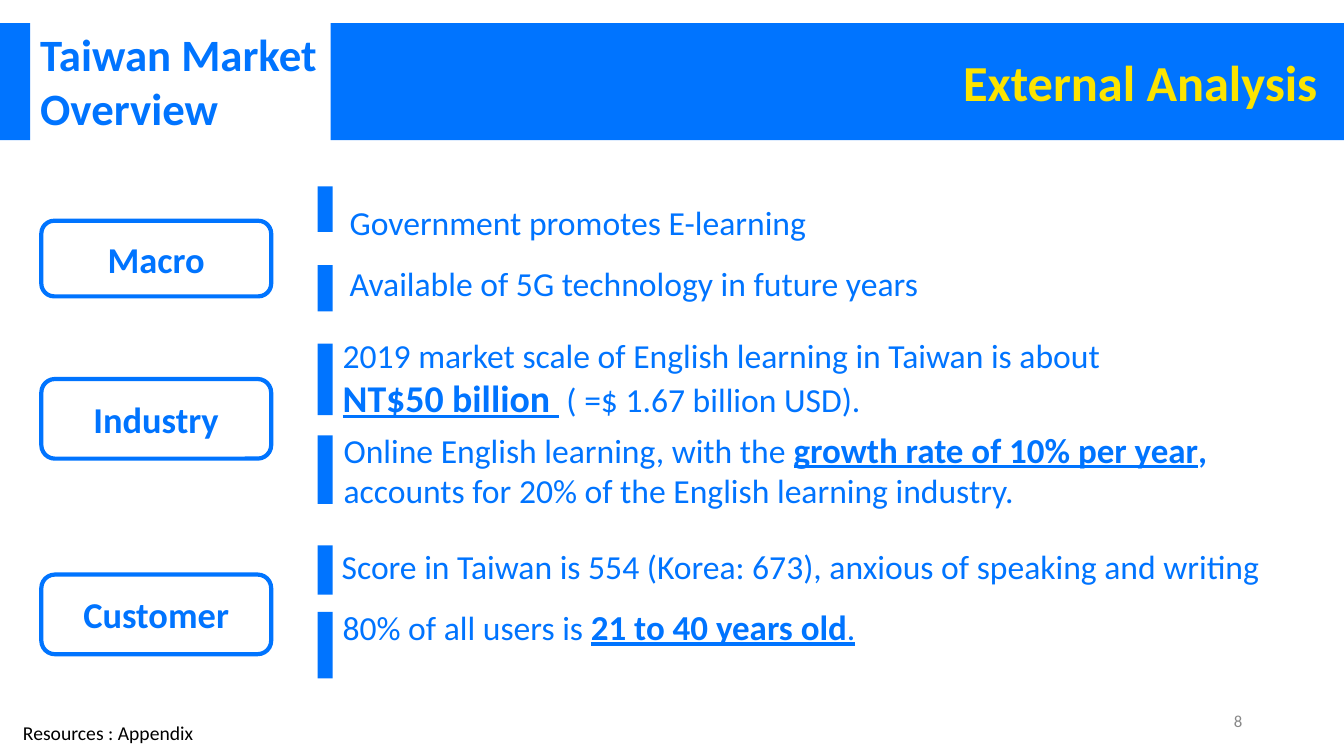
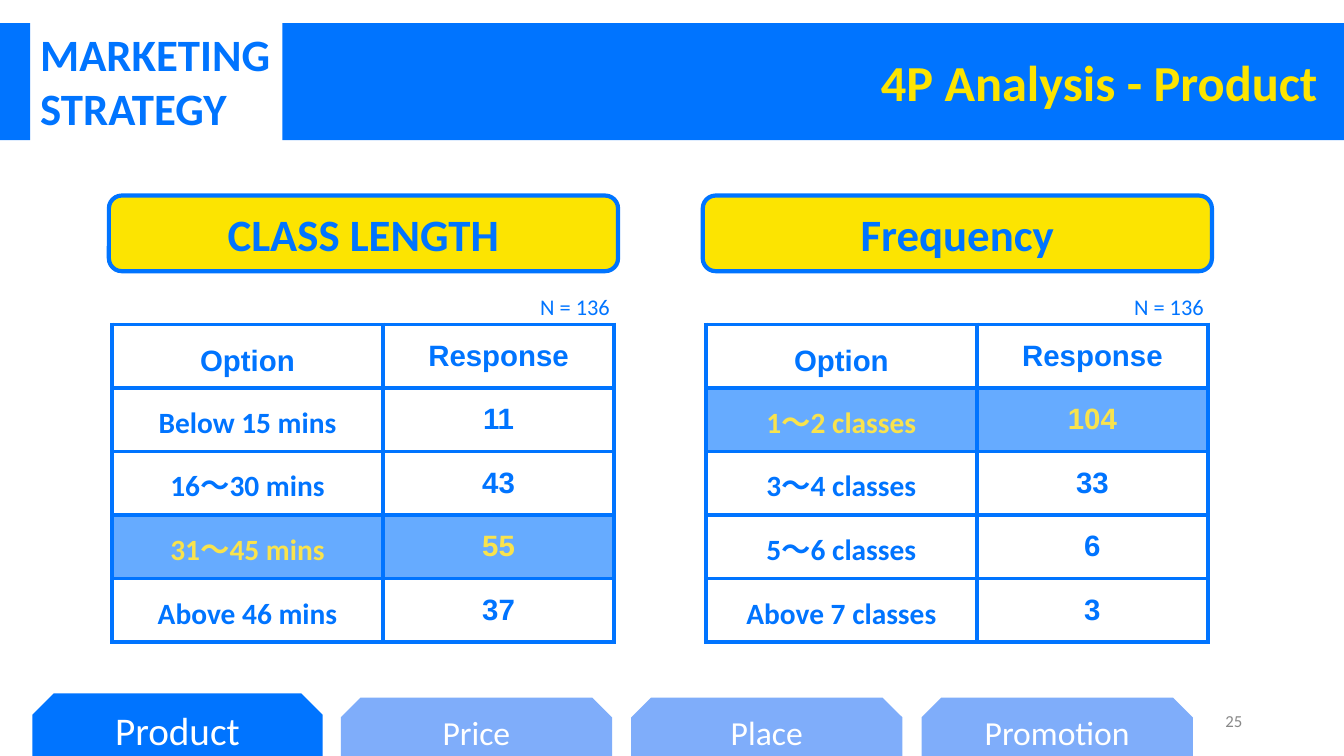
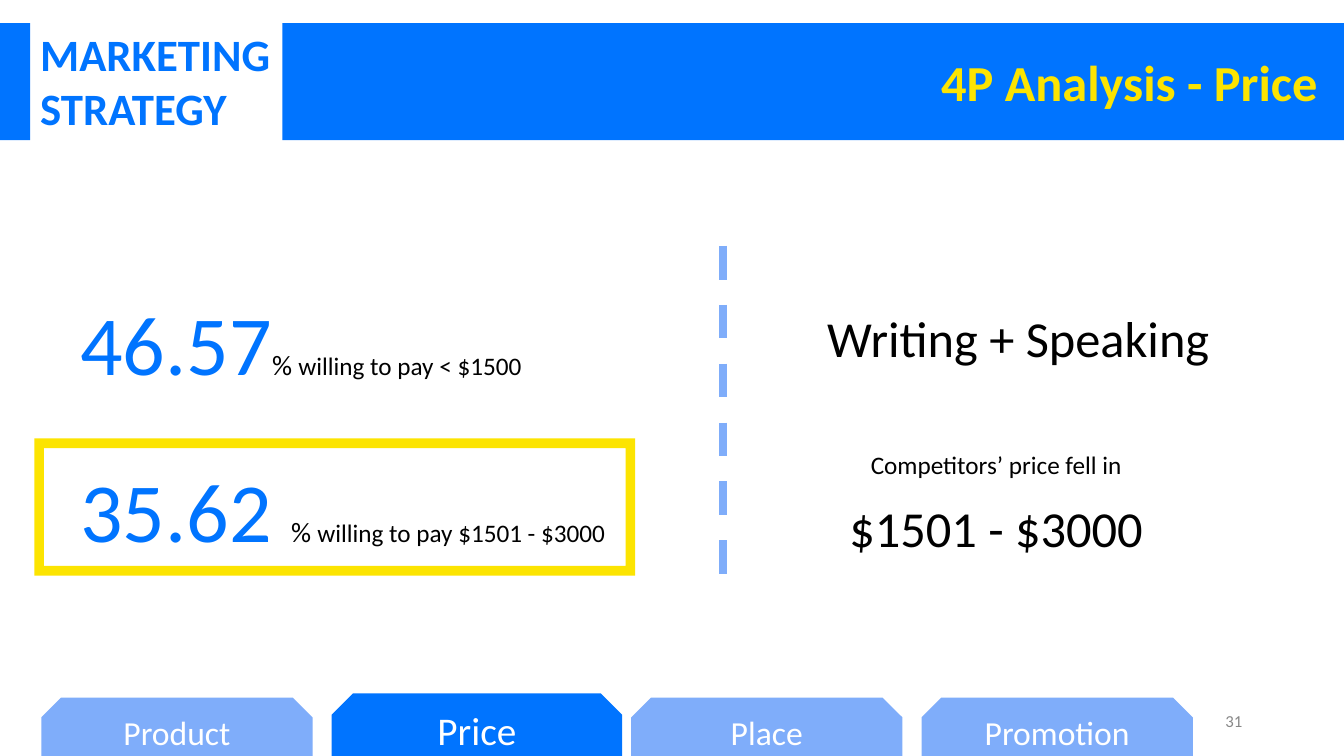
"""Builds three slides on a language-learning market: external analysis, product and price."""
from dataclasses import dataclass

from lxml import etree
from pptx import Presentation
from pptx.dml.color import RGBColor
from pptx.enum.dml import MSO_LINE
from pptx.enum.shapes import MSO_CONNECTOR, MSO_SHAPE
from pptx.enum.text import MSO_ANCHOR, MSO_AUTO_SIZE, PP_ALIGN
from pptx.oxml.ns import qn
from pptx.util import Inches, Pt


@dataclass(frozen=True)
class Theme:
    """Colours, fonts and type sizes shared by the slides."""
    blue: str = "0074FF"
    pale: str = "7FADFA"
    yellow: str = "FCE401"
    soft_yellow: str = "F9E34D"
    white: str = "FFFFFF"
    black: str = "000000"
    grey: str = "888888"
    font: str = "Calibri"
    number_font: str = "Arial"
    title: int = 36
    heading: int = 32
    tab_active: int = 28
    label: int = 26
    body: int = 24
    cell: int = 21
    caption: int = 18
    sample: int = 16
    source: int = 14
    page: int = 12
    figure: int = 60
    outline: int = 3


T = Theme()
WIDTH, HEIGHT = 13.33, 7.5
BAND_TOP, BAND_HEIGHT, BAND_EDGE = 0.23, 1.16, 0.3
STRONG = dict(size=25, bold=True, underline=True)

TOPICS = [("Macro", 2.19, 0.75), ("Industry", 3.76, 0.79), ("Customer", 5.7, 0.79)]
FINDINGS = [
    (1.85, 0.45, 3.37, 1.95, ["Government promotes E-learning"]),
    (2.63, 0.46, 3.37, 2.56, ["Available of 5G technology in future years"]),
    (3.41, 0.71, 3.3, 3.27, [
        "2019 market scale of English learning in Taiwan is about",
        [("NT$50 billion ", dict(STRONG, size=27)), (" ( =$ 1.67 billion USD).", {})]]),
    (4.32, 0.68, 3.31, 4.2, [[
        ("Online English learning, with the ", {}),
        ("growth rate of 10% per year", STRONG),
        (",", dict(size=25, bold=True)),
        (" accounts for 20% of the English learning industry.", {})]]),
    (5.41, 0.49, 3.29, 5.37,
     ["Score in Taiwan is 554 (Korea: 673), anxious of speaking and writing"]),
    (6.07, 0.66, 3.3, 5.96, [[
        ("80% of all users is ", {}), ("21 to 40 years old", STRONG),
        (".", dict(underline=True))]]),
]
SURVEYS = [
    ("CLASS LENGTH", 3, [("Option", "Response"), ("Below 15 mins", "11"),
                         ("16～30 mins", "43"), ("31～45 mins", "55"),
                         ("Above 46 mins", "37")]),
    ("Frequency", 1, [("Option", "Response"), ("1～2 classes", "104"),
                      ("3～4 classes", "33"), ("5～6 classes", "6"),
                      ("Above 7 classes", "3")]),
]
SURVEY_LEFT, SURVEY_PITCH = 1.08, 5.89
COLUMNS, ROW = (2.69, 2.29), 0.63
TABS = [("Product", 0.41), ("Price", 3.38), ("Place", 6.26), ("Promotion", 9.14)]
SHARES = [("46.57", "willing to pay < $1500", 2.69),
          ("35.62 ", "willing to pay $1501 - $3000", 4.35)]


def rgb(color):
    """Turn a hex string into a colour."""
    return RGBColor.from_string(color)


def style(font, size=None, color=None, bold=None, underline=None, face=None):
    """Set the given properties of a font."""
    if size:
        font.size = Pt(size)
    if color:
        font.color.rgb = rgb(color)
    if bold is not None:
        font.bold = bold
    if underline is not None:
        font.underline = underline
    if face:
        font.name = face


def write(frame, paragraphs, size, color=T.blue, bold=False, align=PP_ALIGN.LEFT,
          face=T.font, spacing=None, gap=0):
    """Fill a text frame with paragraphs given as strings or lists of runs."""
    for index, content in enumerate(paragraphs):
        paragraph = frame.add_paragraph() if index else frame.paragraphs[0]
        runs = [(content, {})] if isinstance(content, str) else content
        paragraph.alignment = align
        if spacing:
            paragraph.line_spacing = spacing
        if index and gap:
            paragraph.space_before = Pt(gap)
        style(paragraph.font, size, color, bold, face=face)
        for text, changes in runs:
            run = paragraph.add_run()
            run.text = text
            style(paragraph.font if len(runs) == 1 else run.font, **changes)


def set_frame(frame, anchor, pad=0.05):
    """Wrap a text frame and set its anchor and margins."""
    frame.word_wrap = True
    frame.auto_size = MSO_AUTO_SIZE.NONE
    frame.vertical_anchor = anchor
    frame.margin_left = frame.margin_right = Inches(0.1)
    frame.margin_top = frame.margin_bottom = Inches(pad)


def add_text(slide, box, paragraphs, size, anchor=MSO_ANCHOR.TOP, pad=0.05, **look):
    """Add a wrapped text box."""
    frame = slide.shapes.add_textbox(*map(Inches, box)).text_frame
    set_frame(frame, anchor, pad)
    write(frame, paragraphs, size, **look)


def add_block(slide, kind, box, fill=None, line=None, adjust=None):
    """Add a preset shape with a flat fill and an optional outline."""
    block = slide.shapes.add_shape(kind, *map(Inches, box))
    block.shadow.inherit = False
    if fill:
        block.fill.solid()
        block.fill.fore_color.rgb = rgb(fill)
    else:
        block.fill.background()
    if line:
        block.line.color.rgb = rgb(line)
        block.line.width = Pt(T.outline)
    else:
        block.line.fill.background()
    if adjust is not None:
        block.adjustments[0] = adjust
    set_frame(block.text_frame, MSO_ANCHOR.MIDDLE)
    return block


def start_slide(deck, section, title, page, band_left):
    """Add a slide with its title band, section name and page number."""
    slide = deck.slides.add_slide(deck.slide_layouts[5])
    band = slide.shapes.title
    band.left, band.top = Inches(band_left), Inches(BAND_TOP)
    band.width, band.height = Inches(WIDTH - band_left), Inches(BAND_HEIGHT)
    band.fill.solid()
    band.fill.fore_color.rgb = rgb(T.blue)
    set_frame(band.text_frame, MSO_ANCHOR.MIDDLE)
    band.text_frame.margin_right = Inches(0.26)
    write(band.text_frame, [title], T.title, T.yellow, True, PP_ALIGN.RIGHT)
    add_block(slide, MSO_SHAPE.RECTANGLE, (0, BAND_TOP, BAND_EDGE, BAND_HEIGHT), T.blue)
    add_text(slide, (BAND_EDGE, 0.22, band_left - BAND_EDGE, 1.18), section,
             T.heading, bold=True)
    add_text(slide, (9.42, 6.95, 3, 0.4), [page], T.page, MSO_ANCHOR.MIDDLE,
             color=T.grey, align=PP_ALIGN.RIGHT)
    return slide


def add_label(slide, box, text, size, fill=None):
    """Add a rounded, outlined label."""
    label = add_block(slide, MSO_SHAPE.ROUNDED_RECTANGLE, box, fill, T.blue, 0.17)
    write(label.text_frame, [text], size, bold=True, align=PP_ALIGN.CENTER)


def add_tabs(slide, active):
    """Add the row of tabs along the bottom, with the active one enlarged."""
    for name, left in TABS:
        chosen = name == active
        height = 0.62 if chosen else 0.58
        box = (left - 0.09 * chosen, HEIGHT - height, 2.88 if chosen else 2.69, height)
        tab = add_block(slide, MSO_SHAPE.SNIP_2_SAME_RECTANGLE, box,
                        T.blue if chosen else T.pale, adjust=0.34)
        write(tab.text_frame, [name], T.tab_active if chosen else T.body,
              T.white, align=PP_ALIGN.CENTER)


def add_borders(cell):
    """Draw all four borders of a table cell."""
    properties = cell._tc.get_or_add_tcPr()
    for index, side in enumerate(("lnL", "lnR", "lnT", "lnB")):
        border = etree.Element(qn(f"a:{side}"), w=str(Pt(T.outline)))
        fill = etree.SubElement(border, qn("a:solidFill"))
        etree.SubElement(fill, qn("a:srgbClr"), val=T.blue)
        properties.insert(index, border)


def add_survey_table(slide, left, rows, top_answer):
    """Add a survey table with one highlighted row."""
    table = slide.shapes.add_table(
        len(rows), len(COLUMNS), Inches(left), Inches(3.22),
        Inches(sum(COLUMNS)), Inches(ROW * len(rows))).table
    table.first_row = table.horz_banding = False
    for column, width in zip(table.columns, COLUMNS):
        column.width = Inches(width)
    for r, answers in enumerate(rows):
        table.rows[r].height = Inches(ROW)
        for c, answer in enumerate(answers):
            cell = table.cell(r, c)
            cell.vertical_anchor = MSO_ANCHOR.MIDDLE if c else MSO_ANCHOR.BOTTOM
            cell.margin_left = cell.margin_right = Inches(0.1)
            cell.margin_top = cell.margin_bottom = Inches(0.1)
            chosen = r == top_answer
            if chosen:
                cell.fill.solid()
                cell.fill.fore_color.rgb = rgb(T.blue)
                tint = cell._tc.tcPr.find(".//" + qn("a:srgbClr"))
                etree.SubElement(tint, qn("a:alpha"), val="60000")
            else:
                cell.fill.background()
            add_borders(cell)
            write(cell.text_frame, [answer], T.cell, T.soft_yellow if chosen else T.blue,
                  True, PP_ALIGN.CENTER, T.font if r and not c else T.number_font)


def build_external(deck):
    """Build the external analysis slide."""
    slide = start_slide(deck, ["Taiwan Market Overview"], "External Analysis", "8", 3.28)
    for name, top, height in TOPICS:
        add_label(slide, (0.41, top, 2.28, height), name, T.label)
    for bar_top, bar_height, left, top, paragraphs in FINDINGS:
        add_block(slide, MSO_SHAPE.RECTANGLE, (3.15, bar_top, 0.15, bar_height), T.blue)
        add_text(slide, (left, top, 9.5, 0.9), paragraphs, T.body)
    add_text(slide, (0.13, 7.05, 2.2, 0.44), ["Resources : Appendix"], T.source,
             pad=0.1, color=T.black)


def build_product(deck):
    """Build the product slide with two survey tables."""
    slide = start_slide(deck, ["MARKETING", "STRATEGY"], "4P Analysis - Product", "25", 2.8)
    for index, (name, top_answer, rows) in enumerate(SURVEYS):
        left = SURVEY_LEFT + index * SURVEY_PITCH
        add_label(slide, (left, 1.94, 5.05, 0.75), name, T.heading, T.yellow)
        add_text(slide, (left + 4.18, 2.81, 1, 0.42), ["N = 136"], T.sample, pad=0.1)
        add_survey_table(slide, left + 0.03, rows, top_answer)
    add_tabs(slide, "Product")


def build_price(deck):
    """Build the price slide."""
    slide = start_slide(deck, ["MARKETING", "STRATEGY"], "4P Analysis - Price", "31", 2.8)
    for share, meaning, top in SHARES:
        runs = [(share, dict(size=T.figure, color=T.blue)), ("% ", dict(size=20)),
                (meaning, {})]
        add_text(slide, (0.7, top, 5.53, 1.19), [runs], T.caption, color=T.black,
                 spacing=1.15)
    add_block(slide, MSO_SHAPE.FRAME, (0.34, 4.35, 5.96, 1.36), T.yellow, adjust=0.07)
    divider = slide.shapes.add_connector(
        MSO_CONNECTOR.STRAIGHT, *map(Inches, (7.17, 2.44, 7.17, 5.89)))
    divider.line.color.rgb = rgb(T.pale)
    divider.line.width = Pt(6)
    divider.line.dash_style = MSO_LINE.DASH
    etree.SubElement(divider._element.spPr, qn("a:effectLst"))
    centred = dict(color=T.black, align=PP_ALIGN.CENTER, spacing=1.15)
    add_text(slide, (7.94, 2.91, 4.32, 0.76), ["Writing + Speaking"], T.title, **centred)
    add_text(slide, (7.62, 4.36, 4.52, 1.19),
             ["Competitors’ price fell in", [("$1501 - $3000", dict(size=T.title))]],
             T.caption, gap=6, **centred)
    add_tabs(slide, "Price")


def main():
    """Build and save the deck."""
    deck = Presentation()
    deck.slide_width, deck.slide_height = Inches(WIDTH), Inches(HEIGHT)
    for build in (build_external, build_product, build_price):
        build(deck)
    deck.save("out.pptx")


if __name__ == "__main__":
    main()
